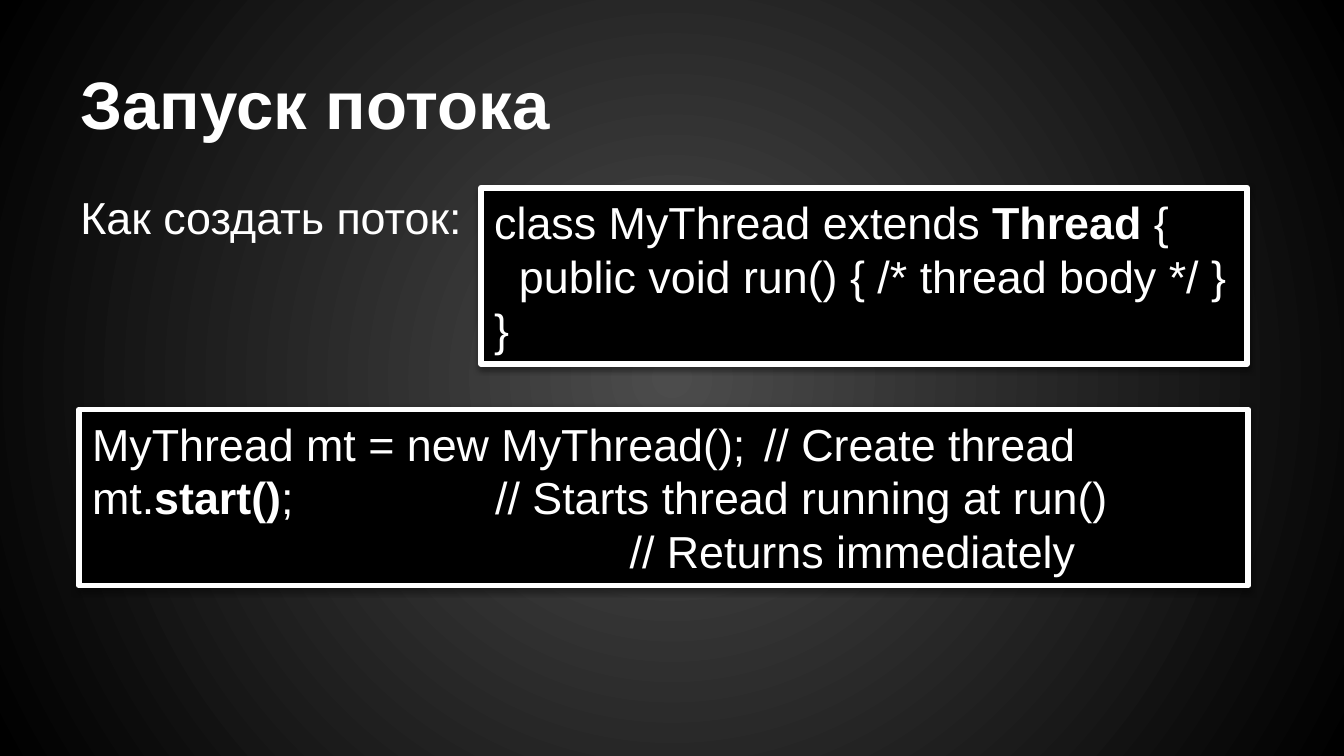
from lxml import etree
from pptx import Presentation
from pptx.dml.color import RGBColor
from pptx.enum.shapes import MSO_SHAPE
from pptx.enum.text import MSO_ANCHOR, MSO_AUTO_SIZE, PP_ALIGN
from pptx.oxml import parse_xml
from pptx.oxml.ns import qn
from pptx.util import Cm, Pt

RECTANGLE = MSO_SHAPE.RECTANGLE
TOP, BOTTOM = MSO_ANCHOR.TOP, MSO_ANCHOR.BOTTOM
LEFT = PP_ALIGN.LEFT
FIT_SHAPE, NO_FIT = MSO_AUTO_SIZE.SHAPE_TO_FIT_TEXT, MSO_AUTO_SIZE.NONE

TITLE = [[("Запуск потока", True)]]
QUESTION = [[("Как создать поток:", False)]]
CLASS_CODE = [
    [("class MyThread extends ", False), ("Thread", True), (" {", False)],
    [("  public void run() { /* thread body */ }", False)],
    [("}", False)],
]
START_CODE = [
    [("MyThread mt = new MyThread();\t// Create thread", False)],
    [("mt.", False), ("start()", True), (";\t\t// Starts thread running at run()", False)],
    [("\t\t\t\t// Returns immediately", False)],
]
CODE_BOXES = [
    (CLASS_CODE, (9.09, 3.55, 14.48, 3.33), False),
    (START_CODE, (1.49, 7.74, 22.1, 3.33), True),
]
TITLE_AREA = (1.27, 0.57, 22.86, 2.39)
QUESTION_AREA = (1.27, 3.33, 22.86, 10.34)
TAB_STEP, TAB_COUNT = 2.54, 5

THEME = {
    "font": "Arial",
    "text": RGBColor.from_string("FFFFFF"),
    "box": RGBColor.from_string("000000"),
    "glow": "4C4C4C",
    "edge": "000000",
    "shadow": "000000",
    "title_size": Pt(36),
    "text_size": Pt(24),
    "border": Pt(3),
}
DRAWING = "http://schemas.openxmlformats.org/drawingml/2006/main"
PRESENTATION = "http://schemas.openxmlformats.org/presentationml/2006/main"


def lengths(area):
    return [Cm(value) for value in area]


def write_text(shape, lines, size=THEME["text_size"], anchor=TOP, wrap=True,
               fit=NO_FIT, side=0.25, end=0.25, tabs=False):
    frame = shape.text_frame
    frame.word_wrap = wrap
    frame.auto_size = fit
    frame.vertical_anchor = anchor
    frame.margin_left = frame.margin_right = Cm(side)
    frame.margin_top = frame.margin_bottom = Cm(end)
    for index, line in enumerate(lines):
        paragraph = frame.add_paragraph() if index else frame.paragraphs[0]
        paragraph.alignment = LEFT
        paragraph.line_spacing = 1.0
        paragraph.space_before = paragraph.space_after = Pt(0)
        for text, bold in line:
            run = paragraph.add_run()
            run.text = text
            run.font.name = THEME["font"]
            run.font.size = size
            run.font.bold = bold
            run.font.color.rgb = THEME["text"]
        if tabs:
            stops = etree.SubElement(paragraph._p.get_or_add_pPr(), qn("a:tabLst"))
            for step in range(1, TAB_COUNT + 1):
                etree.SubElement(stops, qn("a:tab"), pos=str(Cm(TAB_STEP * step)), algn="l")


def paint_background(slide):
    background = parse_xml(
        f'<p:bg xmlns:p="{PRESENTATION}" xmlns:a="{DRAWING}"><p:bgPr>'
        '<a:gradFill rotWithShape="1"><a:gsLst>'
        f'<a:gs pos="0"><a:srgbClr val="{THEME["glow"]}"/></a:gs>'
        f'<a:gs pos="100000"><a:srgbClr val="{THEME["edge"]}"/></a:gs>'
        '</a:gsLst><a:path path="circle">'
        '<a:fillToRect l="50000" t="50000" r="50000" b="50000"/></a:path>'
        '</a:gradFill><a:effectLst/></p:bgPr></p:bg>')
    slide.element.cSld.insert(0, background)


def add_shadow(shape):
    shape.shadow.inherit = False
    effects = shape._element.spPr.find(qn("a:effectLst"))
    shadow = etree.SubElement(effects, qn("a:outerShdw"), blurRad=str(Pt(3.1)),
                              dist=str(Pt(1.6)), dir="5400000", rotWithShape="0")
    color = etree.SubElement(shadow, qn("a:srgbClr"), val=THEME["shadow"])
    etree.SubElement(color, qn("a:alpha"), val="38000")


def add_code_box(slide, lines, area, wrap):
    box = slide.shapes.add_shape(RECTANGLE, *lengths(area))
    box.fill.solid()
    box.fill.fore_color.rgb = THEME["box"]
    box.line.color.rgb = THEME["text"]
    box.line.width = THEME["border"]
    add_shadow(box)
    write_text(box, lines, wrap=wrap, fit=FIT_SHAPE, end=0.13, tabs=True)


presentation = Presentation()
presentation.slide_width, presentation.slide_height = Cm(25.4), Cm(14.29)
slide = presentation.slides.add_slide(presentation.slide_layouts[5])
paint_background(slide)

title = slide.shapes.title
title.left, title.top, title.width, title.height = lengths(TITLE_AREA)
write_text(title, TITLE, size=THEME["title_size"], anchor=BOTTOM)

question = slide.shapes.add_textbox(*lengths(QUESTION_AREA))
write_text(question, QUESTION)

for lines, area, wrap in CODE_BOXES:
    add_code_box(slide, lines, area, wrap)

presentation.save("out.pptx")
